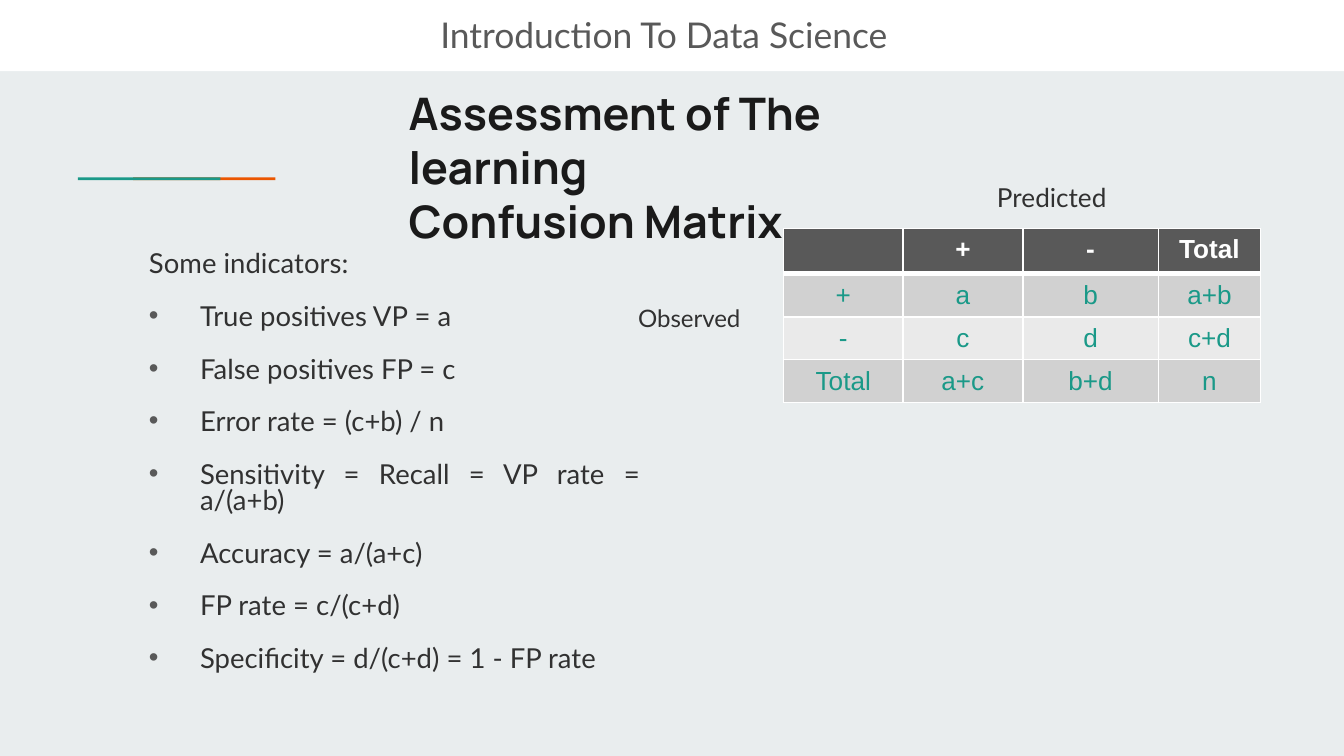
"""Build a slide on the confusion matrix and its indicators."""
from copy import deepcopy

from lxml.etree import SubElement
from pptx import Presentation
from pptx.dml.color import RGBColor
from pptx.enum.shapes import MSO_SHAPE as Shape
from pptx.enum.text import MSO_ANCHOR as Anchor, MSO_AUTO_SIZE as AutoSize, PP_ALIGN as Align
from pptx.oxml.ns import qn
from pptx.util import Inches, Pt

COLORS = {
    "page": "E9EDEE", "white": "FFFFFF", "orange": "EB5600", "teal": "1A9988",
    "ink": "1A1A1A", "gray": "595959", "text": "313131",
    "band": "D1D1D1", "light": "EAEAEA",
}
FRAME = {
    "word_wrap": True, "auto_size": AutoSize.NONE, "vertical_anchor": Anchor.TOP,
    "margin_left": Inches(0.1), "margin_right": Inches(0.1),
    "margin_top": Inches(0.1), "margin_bottom": Inches(0.1),
}
TITLE = {"name": "Manrope", "size": Pt(24), "bold": True}
COURSE = {"name": "Lato", "size": Pt(19)}
OBSERVED = {"name": "Lato", "size": Pt(12.9)}
PREDICTED = {"name": "Lato", "size": Pt(14)}
INDICATOR = {"name": "Lato", "size": Pt(14.7)}
HEADER = {"name": "Arial", "size": Pt(14), "bold": True}
ENTRY = {**HEADER, "bold": False}

INDICATORS = [
    "True positives VP = a",
    "False positives FP = c",
    "Error rate = (c+b) / n",
    "Sensitivity = Recall = VP rate = a/(a+b)",
    "Accuracy = a/(a+c)",
    "FP rate = c/(c+d)",
    "Specificity = d/(c+d) = 1 - FP rate",
]
MATRIX = [
    ["", "+", "-", "Total"],
    ["+", "a", "b", "a+b"],
    ["-", "c", "d", "c+d"],
    ["Total", "a+c", "b+d", "n"],
]
COLUMN_WIDTHS = [0.89, 0.89, 1.01, 0.76]
ROW_HEIGHT = 0.32


def rgb(color):
    """Return the named colour."""
    return RGBColor.from_string(COLORS[color])


def apply(target, values):
    """Set each format value on the target."""
    for name, value in values.items():
        setattr(target, name, value)


def write(paragraph, text, font, color, **layout):
    """Write one formatted paragraph, with line breaks at newlines."""
    for index, line in enumerate(text.split("\n")):
        if index:
            paragraph.add_line_break()
        run = paragraph.add_run()
        run.text = line
        apply(run.font, font)
        run.font.color.rgb = rgb(color)
    for line_break in paragraph._p.findall(qn("a:br")):
        line_break.insert(0, deepcopy(run._r.rPr))
    apply(paragraph, {"space_before": Pt(0), **layout})


def place(box, left, top, width, height):
    """Position a text shape and return its formatted frame."""
    apply(box, {"left": Inches(left), "top": Inches(top),
                "width": Inches(width), "height": Inches(height)})
    apply(box.text_frame, FRAME)
    return box.text_frame


def add_text_frame(slide, *area):
    """Add a text box and return its frame."""
    return place(slide.shapes.add_textbox(0, 0, 0, 0), *area)


def add_backdrop(slide, color, *area):
    """Add a plain filled rectangle behind everything else."""
    bar = slide.shapes.add_shape(Shape.RECTANGLE, *map(Inches, area))
    bar.shadow.inherit = False
    bar.fill.solid()
    bar.fill.fore_color.rgb = rgb(color)
    bar.line.fill.background()
    slide.shapes._spTree.insert(2, bar._element)


def add_bullet(paragraph):
    """Give a paragraph a hanging gray bullet."""
    properties = paragraph._p.get_or_add_pPr()
    properties.set("marL", str(Inches(0.38)))
    properties.set("indent", str(-Inches(0.38)))
    bullet_color = SubElement(properties, qn("a:buClr"))
    SubElement(bullet_color, qn("a:srgbClr")).set("val", COLORS["gray"])
    SubElement(properties, qn("a:buFont")).set("typeface", "Arial")
    SubElement(properties, qn("a:buChar")).set("char", "•")


def add_indicators(slide):
    """Add the heading and the bulleted indicators."""
    frame = add_text_frame(slide, 1.01, 1.78, 3.85, 3.55)
    layout = {"alignment": Align.JUSTIFY, "line_spacing": 0.8, "space_after": Pt(14.1)}
    write(frame.paragraphs[0], "Some indicators:", INDICATOR, "text", **layout)
    for indicator in INDICATORS:
        paragraph = frame.add_paragraph()
        write(paragraph, indicator, INDICATOR, "text", **layout)
        add_bullet(paragraph)


def add_borders(cell, row):
    """Draw white borders, thicker under the header row."""
    for side in ("a:lnL", "a:lnR", "a:lnT", "a:lnB"):
        border = SubElement(cell._tc.get_or_add_tcPr(), qn(side))
        border.set("w", str(Pt(3 if row == 0 and side == "a:lnB" else 1)))
        fill = SubElement(border, qn("a:solidFill"))
        SubElement(fill, qn("a:srgbClr")).set("val", COLORS["white"])


def add_matrix(slide):
    """Add the confusion matrix table."""
    matrix = slide.shapes.add_table(
        len(MATRIX), len(COLUMN_WIDTHS), Inches(5.83), Inches(1.7),
        Inches(sum(COLUMN_WIDTHS)), Inches(ROW_HEIGHT * len(MATRIX))).table
    for column, width in zip(matrix.columns, COLUMN_WIDTHS):
        column.width = Inches(width)
    for row, entries in enumerate(MATRIX):
        fill = "gray" if row == 0 else "band" if row % 2 else "light"
        font, color = (ENTRY, "teal") if row else (HEADER, "white")
        for column, entry in enumerate(entries):
            cell = matrix.cell(row, column)
            add_borders(cell, row)
            cell.fill.solid()
            cell.fill.fore_color.rgb = rgb(fill)
            paragraph = cell.text_frame.paragraphs[0]
            if entry:
                write(paragraph, entry, font, color, alignment=Align.CENTER)
            else:
                paragraph._p.get_or_add_endParaRPr().set("sz", "1400")


def main():
    """Build and save the slide."""
    deck = Presentation()
    apply(deck, {"slide_width": Inches(10), "slide_height": Inches(10 * 9 / 16)})
    slide = deck.slides.add_slide(deck.slide_layouts[0])
    slide.background.fill.solid()
    slide.background.fill.fore_color.rgb = rgb("page")

    add_backdrop(slide, "teal", 0.58, 1.32, 1.06, 0.02)
    add_backdrop(slide, "orange", 0.99, 1.32, 1.06, 0.02)
    add_backdrop(slide, "white", 0, 0, 10, 0.53)

    title = place(slide.shapes.title, 2.94, 0.54, 4.63, 0.63)
    write(title.paragraphs[0], "Assessment of The learning\nConfusion Matrix",
          TITLE, "ink", alignment=Align.LEFT)
    course = place(slide.placeholders[1], 3.09, 0, 3.7, 0.77)
    write(course.paragraphs[0], "Introduction To Data Science",
          COURSE, "gray", alignment=Align.CENTER)

    observed = add_text_frame(slide, 4.65, 2.16, 0.98, 0.53)
    write(observed.paragraphs[0], "Observed", OBSERVED, "text", alignment=Align.JUSTIFY)
    predicted = add_text_frame(slide, 7.32, 1.25, 1.4, 0.53)
    write(predicted.paragraphs[0], "Predicted", PREDICTED, "text", alignment=Align.JUSTIFY)

    add_indicators(slide)
    add_matrix(slide)
    deck.save("out.pptx")


if __name__ == "__main__":
    main()
